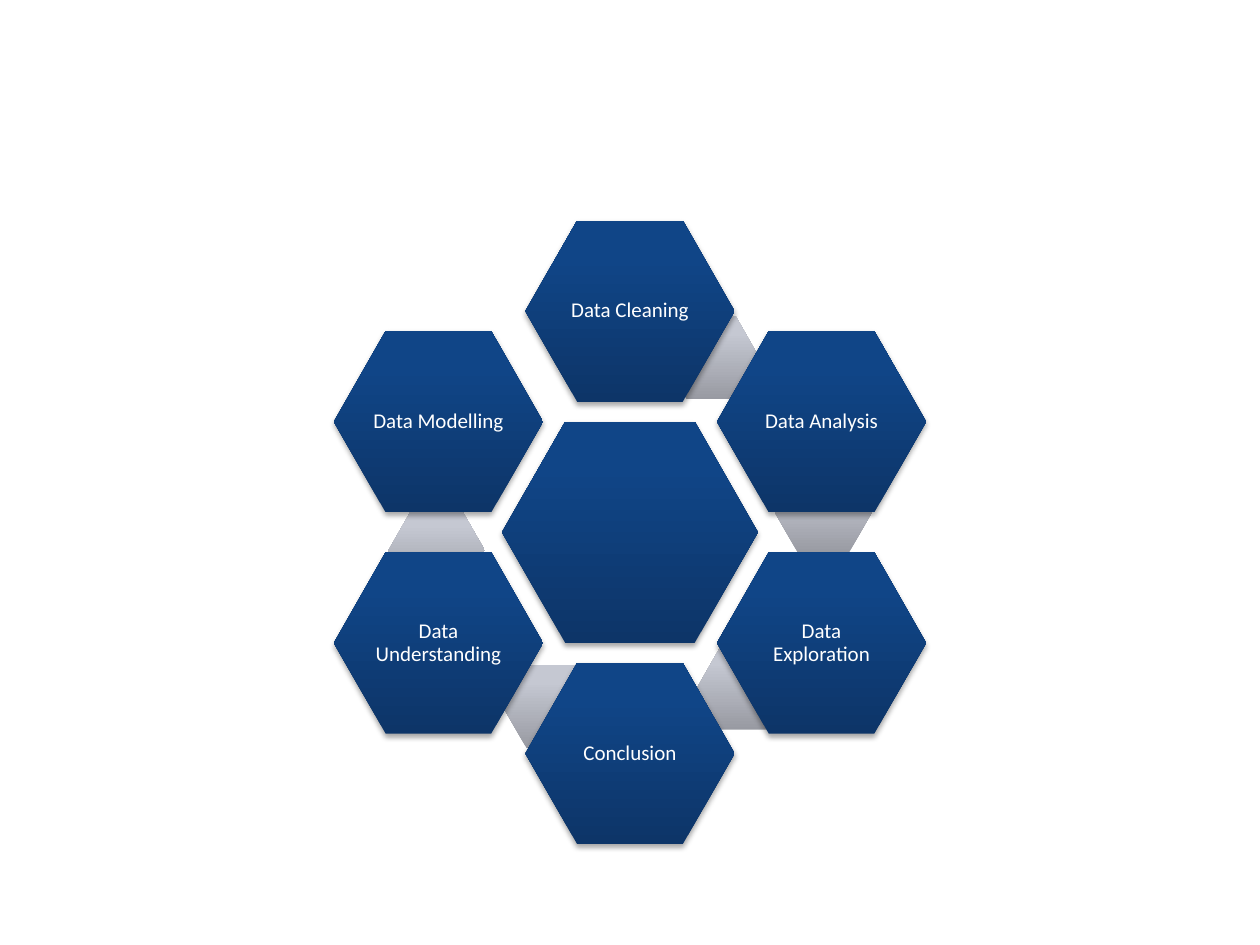
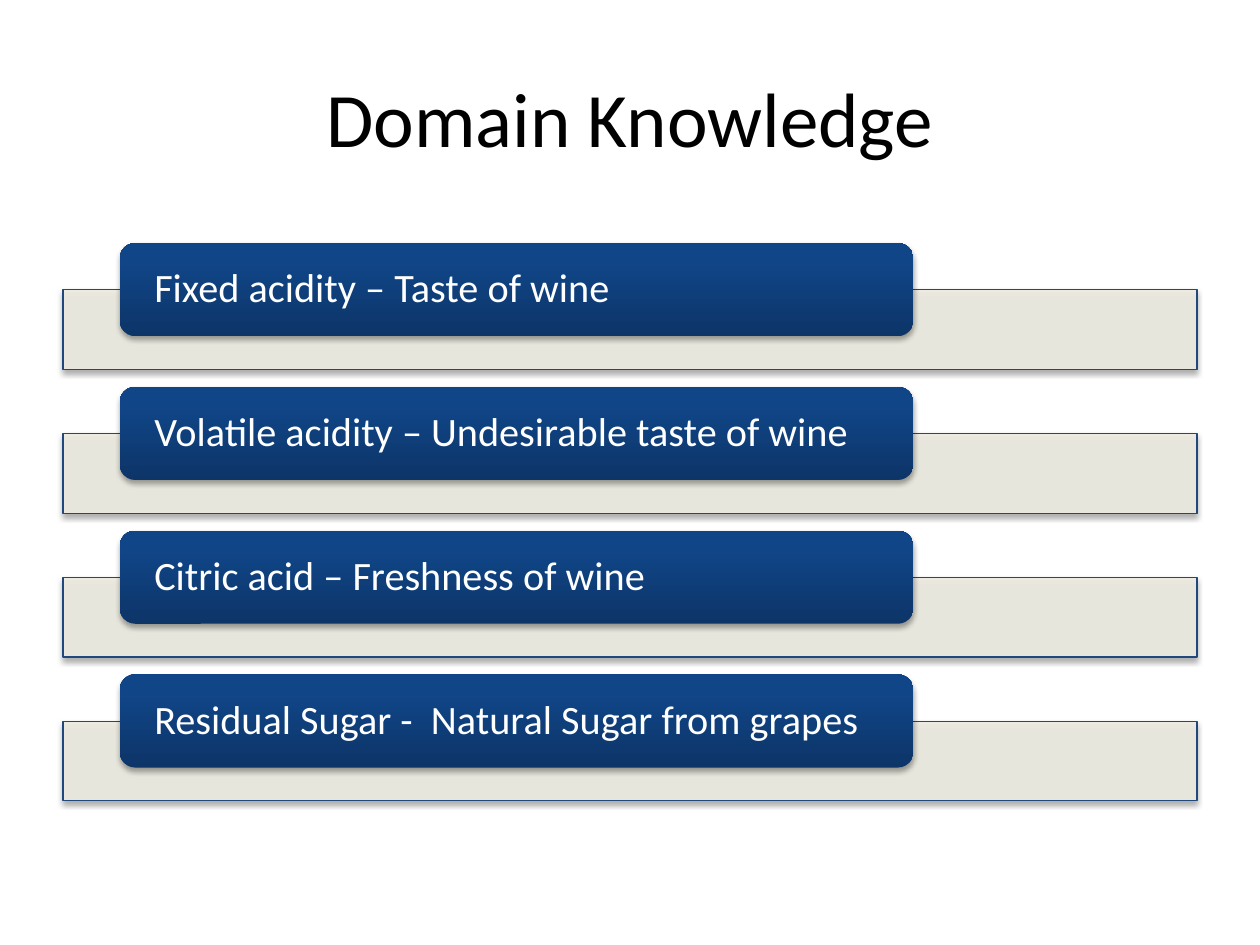
from itertools import zip_longest
from math import cos, radians, sin

from lxml.etree import SubElement as Sub
from pptx import Presentation
from pptx.dml.color import RGBColor as RGB
from pptx.enum.shapes import MSO_SHAPE as Shape
from pptx.enum.text import MSO_ANCHOR as Anchor, PP_ALIGN as Align
from pptx.oxml.ns import qn
from pptx.util import Pt

WHITE = RGB(0xFF, 0xFF, 0xFF)
BLACK = RGB(0, 0, 0)
NAVY = RGB(0x1F, 0x49, 0x7D)
CREAM = RGB(0xEE, 0xEC, 0xE1)
BLUES = [(0, RGB(0x0D, 0x35, 0x68)), (80, RGB(0x10, 0x45, 0x87)), (100, RGB(0x0E, 0x45, 0x8A))]
GREYS = [(0, RGB(0x98, 0x9A, 0xA2)), (80, RGB(0xC5, 0xC8, 0xD2)), (100, RGB(0xC5, 0xC9, 0xD3))]
FONT = "Calibri"

STEPS = ["Data Cleaning", "Data Analysis", "Data Exploration",
         "Conclusion", "Data Understanding", "Data Modelling"]
LINKS = [(46.4, -99.7), (110.5, -11.2), (65.9, 88.9), (-45, 99.7), (-110.5, 10.4)]
FACTS = ["Fixed acidity – Taste of wine",
         "Volatile acidity – Undesirable taste of wine",
         "Citric acid – Freshness of wine",
         "Residual Sugar -  Natural Sugar from grapes"]


def add_tint(parent, color, alpha):
    tint = Sub(parent, qn("a:srgbClr"), val=str(color))
    Sub(tint, qn("a:alpha"), val=str(alpha * 1000))


def add_shape(slide, kind, box, shade=True):
    shape = slide.shapes.add_shape(kind, *map(Pt, box))
    shape.shadow.inherit = False
    shape.line.fill.background()
    if shade:
        effects = shape._element.spPr.find(qn("a:effectLst"))
        glow = Sub(effects, qn("a:outerShdw"), blurRad=str(Pt(3.1)), dist=str(Pt(1.8)),
                   dir="5400000", rotWithShape="0")
        add_tint(glow, BLACK, 35)
    return shape


def set_ramp(shape, stops):
    shape.fill.gradient()
    shape.fill.gradient_angle = 90
    ramp = shape._element.spPr.find(qn("a:gradFill")).find(qn("a:gsLst"))
    for old in list(ramp):
        ramp.remove(old)
    for place, color in stops:
        stop = Sub(ramp, qn("a:gs"), pos=str(place * 1000))
        Sub(stop, qn("a:srgbClr"), val=str(color))


def set_text(shape, text, size, color, align):
    frame = shape.text_frame
    frame.text = text
    frame.word_wrap = True
    frame.vertical_anchor = Anchor.MIDDLE
    para = frame.paragraphs[0]
    para.alignment = align
    font = para.runs[0].font
    font.name, font.size, font.color.rgb = FONT, Pt(size), color
    return frame


def set_pads(frame, side, ends):
    frame.margin_left = frame.margin_right = Pt(side)
    frame.margin_top = frame.margin_bottom = Pt(ends)
    frame.paragraphs[0].line_spacing = 0.9


def add_hex(slide, mid, size, stops, shade=True):
    (x, y), (wide, high) = mid, size
    box = (x - wide / 2, y - high / 2, wide, high)
    shape = add_shape(slide, Shape.HEXAGON, box, shade)
    shape.adjustments[0] = 0.286
    set_ramp(shape, stops)
    return shape


def add_ring(slide, box):
    left, top, wide, high = box
    x, y = left + wide / 2, top + high / 2
    petal = (119.6, 103.6)
    reach = (high - petal[1]) / 2
    add_hex(slide, (x, y), (146.3, 126.6), BLUES)
    for i, (step, link) in enumerate(zip_longest(STEPS, LINKS)):
        if link:
            add_hex(slide, (x + link[0], y + link[1]), (55.2, 47.6), GREYS, False)
        turn = radians(60 * i)
        spot = (x + reach * sin(turn), y - reach * cos(turn))
        shape = add_hex(slide, spot, petal, BLUES)
        set_pads(set_text(shape, step, 12, WHITE, Align.CENTER), 1.2, 1.2)


def add_fact(slide, box, text):
    left, top, wide, high = box
    bar = add_shape(slide, Shape.RECTANGLE, (left, top + 26.7, wide, high - 26.7))
    bar.fill.solid()
    bar.fill.fore_color.rgb = CREAM
    tint = bar._element.spPr.find(qn("a:solidFill"))[0]
    Sub(tint, qn("a:alpha"), val="90000")
    bar.line.color.rgb = NAVY
    bar.line.width = Pt(0.75)
    tab = add_shape(slide, Shape.ROUNDED_RECTANGLE, (left + wide * 0.05, top, wide * 0.7, 53.2))
    set_ramp(tab, BLUES)
    set_pads(set_text(tab, text, 23, WHITE, Align.LEFT), 17.2, 0)


def add_list(slide, box):
    left, top, wide, high = box
    row, gap = 72.2, (high - len(FACTS) * 72.2) / (len(FACTS) - 1)
    for i, fact in enumerate(FACTS):
        add_fact(slide, (left, top + i * (row + gap), wide, row), fact)


def add_title(slide, box, text):
    title = slide.shapes.title
    title.left, title.top, title.width, title.height = map(Pt, box)
    set_text(title, text, 44, BLACK, Align.CENTER)


def main():
    deck = Presentation()
    deck.slide_width, deck.slide_height = Pt(720), Pt(540)
    add_ring(deck.slides.add_slide(deck.slide_layouts[6]), (190, 126, 340, 356.4))
    slide = deck.slides.add_slide(deck.slide_layouts[5])
    add_title(slide, (36, 21.6, 648, 90), "Domain Knowledge")
    add_list(slide, (36, 138.9, 648, 318.7))
    deck.save("out.pptx")


if __name__ == "__main__":
    main()
